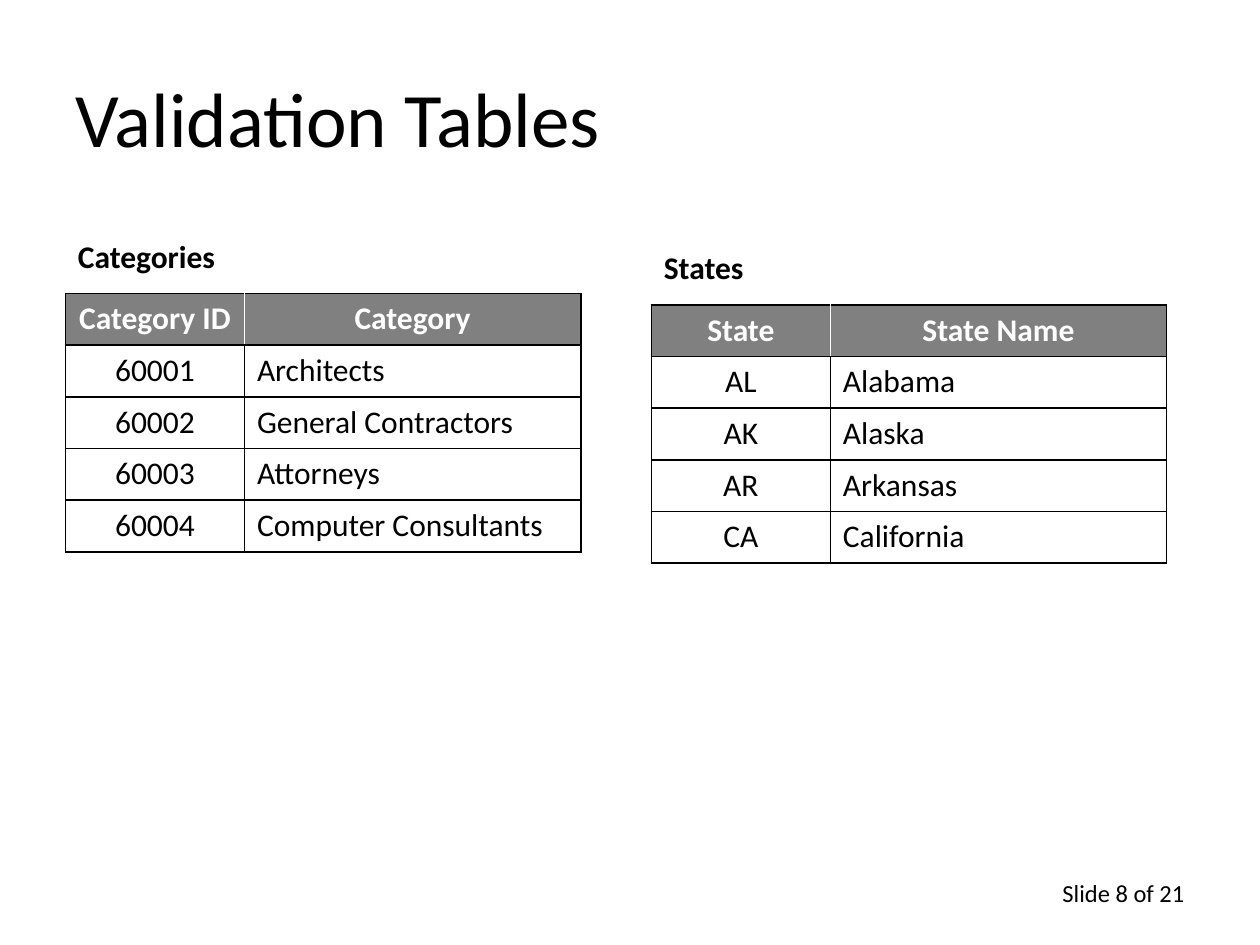
"""Builds the Validation Tables slide with two lookup tables."""
from dataclasses import dataclass

import lxml.etree
import pptx
import pptx.dml.color
import pptx.enum.text
import pptx.oxml.ns
import pptx.slide
import pptx.table
import pptx.text.text
import pptx.util

Inches = pptx.util.Inches
Align = pptx.enum.text.PP_ALIGN
Anchor = pptx.enum.text.MSO_ANCHOR


@dataclass(frozen=True)
class Theme:
    font: str = "Calibri"
    ink: str = "000000"
    header_ink: str = "FFFFFF"
    header_fill: str = "808080"
    title_size: int = 44
    body_size: int = 18
    footer_size: int = 14
    border_width: int = 1


@dataclass(frozen=True)
class Lookup:
    caption: str
    left: float
    top: float
    rows: tuple[tuple[str, str], ...]


THEME = Theme()
COLUMN_WIDTHS = (1.42, 2.67)
ROW_HEIGHT = 0.41
CAPTION_RISE = 0.5
LOOKUPS = (
    Lookup("Categories", 0.52, 2.33, (
        ("Category ID", "Category"),
        ("60001", "Architects"),
        ("60002", "General Contractors"),
        ("60003", "Attorneys"),
        ("60004", "Computer Consultants"),
    )),
    Lookup("States", 5.17, 2.42, (
        ("State", "State Name"),
        ("AL", "Alabama"),
        ("AK", "Alaska"),
        ("AR", "Arkansas"),
        ("CA", "California"),
    )),
)


def write(frame: pptx.text.text.TextFrame, text: str, size: int, color: str = THEME.ink,
          bold: bool = False, align: Align = Align.LEFT) -> None:
    para = frame.paragraphs[0]
    para.alignment = align
    span = para.add_run()
    span.text = text
    span.font.name = THEME.font
    span.font.size = pptx.util.Pt(size)
    span.font.bold = bold
    span.font.color.rgb = pptx.dml.color.RGBColor.from_string(color)


def add_text(page: pptx.slide.Slide, text: str, left: float, top: float, width: float,
             height: float, size: int, bold: bool = False, align: Align = Align.LEFT,
             anchor: Anchor = Anchor.TOP) -> None:
    box = page.shapes.add_textbox(Inches(left), Inches(top), Inches(width), Inches(height))
    box.text_frame.word_wrap = True
    box.text_frame.vertical_anchor = anchor
    write(box.text_frame, text, size, bold=bold, align=align)


def set_border(cell: pptx.table._Cell, side: str, color: str) -> None:
    qn = pptx.oxml.ns.qn
    width = str(int(pptx.util.Pt(THEME.border_width)))
    line = lxml.etree.SubElement(cell._tc.get_or_add_tcPr(), qn(f"a:ln{side}"), w=width)
    fill = lxml.etree.SubElement(line, qn("a:solidFill"))
    lxml.etree.SubElement(fill, qn("a:srgbClr"), val=color)


def style_cell(cell: pptx.table._Cell, text: str, is_header: bool, is_first: bool) -> None:
    inner_side = "R" if is_first else "L"
    for side in "LRTB":
        white = is_header and side == inner_side
        set_border(cell, side, THEME.header_ink if white else THEME.ink)
    if is_header:
        cell.fill.solid()
        cell.fill.fore_color.rgb = pptx.dml.color.RGBColor.from_string(THEME.header_fill)
    else:
        cell.fill.background()
    write(cell.text_frame, text, THEME.body_size,
          color=THEME.header_ink if is_header else THEME.ink, bold=is_header,
          align=Align.CENTER if is_header or is_first else Align.LEFT)


def add_lookup(page: pptx.slide.Slide, lookup: Lookup) -> None:
    count = len(lookup.rows)
    table = page.shapes.add_table(
        count, len(COLUMN_WIDTHS), Inches(lookup.left), Inches(lookup.top),
        Inches(sum(COLUMN_WIDTHS)), Inches(ROW_HEIGHT * count)).table
    table.horz_banding = False
    for column, width in zip(table.columns, COLUMN_WIDTHS):
        column.width = Inches(width)
    for row_index, values in enumerate(lookup.rows):
        table.rows[row_index].height = Inches(ROW_HEIGHT)
        for column_index, value in enumerate(values):
            style_cell(table.cell(row_index, column_index), value,
                       row_index == 0, column_index == 0)
    add_text(page, lookup.caption, lookup.left, lookup.top - CAPTION_RISE, 2.89, 0.42,
             THEME.body_size, bold=True)


def main() -> None:
    deck = pptx.Presentation()
    deck.slide_width, deck.slide_height = Inches(10), Inches(7.5)
    page = deck.slides.add_slide(deck.slide_layouts[6])
    add_text(page, "Slide 8 of 21", 7.08, 6.92, 2.42, 0.34, THEME.footer_size,
             align=Align.RIGHT)
    add_text(page, "Validation Tables", 0.5, 0.3, 9, 1.25, THEME.title_size,
             anchor=Anchor.MIDDLE)
    for lookup in LOOKUPS:
        add_lookup(page, lookup)
    deck.save("out.pptx")


if __name__ == "__main__":
    main()
